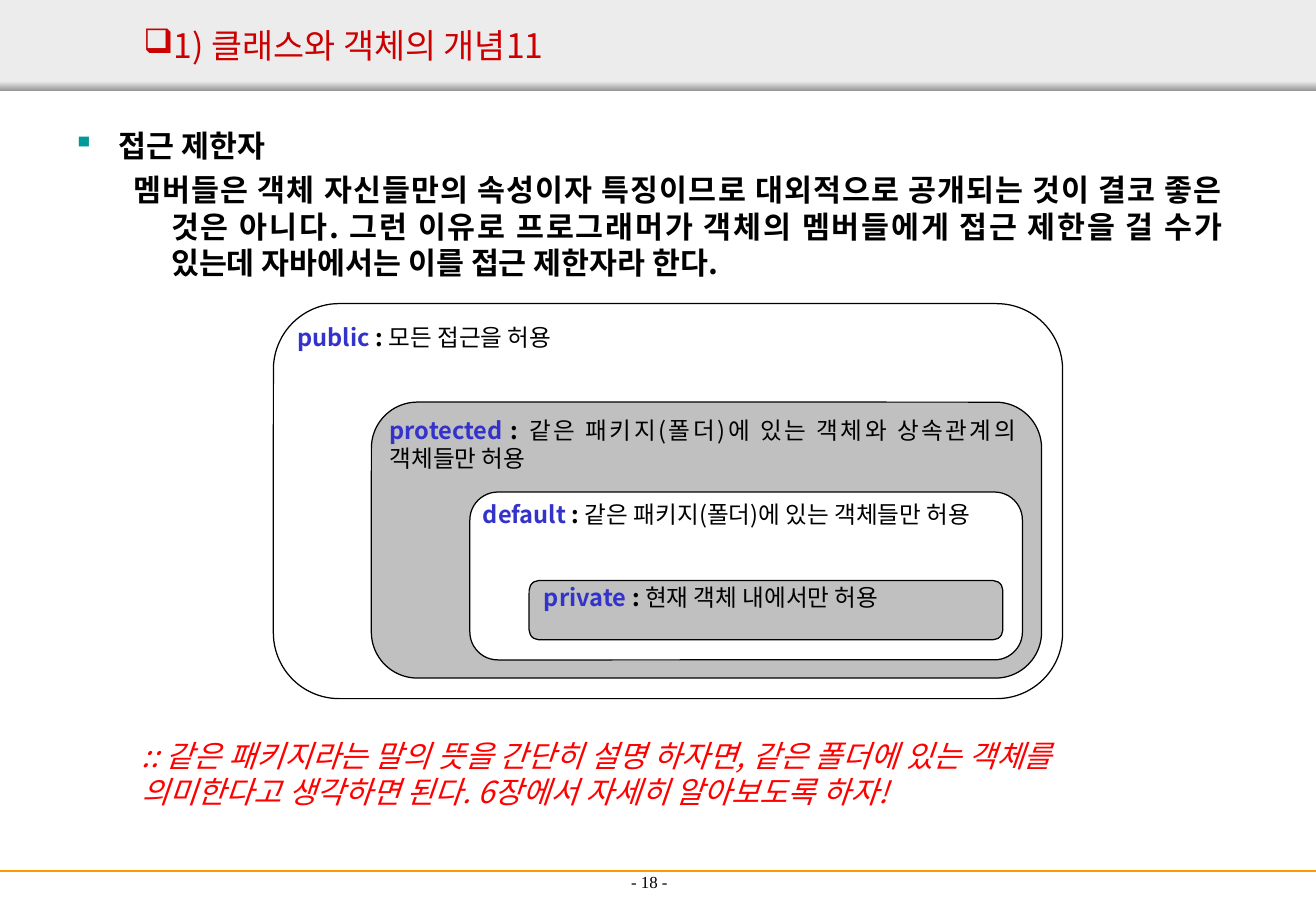
from dataclasses import dataclass

from lxml.etree import SubElement
from pptx import Presentation
from pptx.dml.color import RGBColor
from pptx.enum.shapes import MSO_CONNECTOR, MSO_SHAPE
from pptx.enum.text import MSO_ANCHOR, PP_ALIGN
from pptx.oxml.ns import qn
from pptx.shapes.autoshape import Shape
from pptx.slide import Slide
from pptx.text.text import TextFrame, _Paragraph
from pptx.util import Cm, Pt

BLACK = RGBColor(0x00, 0x00, 0x00)
WHITE = RGBColor(0xFF, 0xFF, 0xFF)
SILVER = RGBColor(0xC0, 0xC0, 0xC0)
HEADER_GRAY = RGBColor(0xEC, 0xEC, 0xEC)
EDGE_GRAY = RGBColor(0x97, 0x97, 0x97)
ORANGE = RGBColor(0xFF, 0x99, 0x00)
TITLE_RED = RGBColor(0xCC, 0x00, 0x00)
NOTE_RED = RGBColor(0xFF, 0x00, 0x00)
TEAL = RGBColor(0x00, 0x99, 0x99)
KEYWORD_BLUE = RGBColor(0x33, 0x33, 0xCC)

KOREAN_FONT = "Noto Sans CJK KR"
LATIN_FONT = "Times New Roman"
SLIDE_WIDTH = 27.53


@dataclass(frozen=True)
class Box:
    left: float
    top: float
    width: float
    height: float

    def lengths(self) -> tuple[Cm, Cm, Cm, Cm]:
        return Cm(self.left), Cm(self.top), Cm(self.width), Cm(self.height)


@dataclass(frozen=True)
class AccessLevel:
    keyword: str
    meaning: str
    box: Box
    fill: RGBColor
    inset: float = 0.1


ACCESS_LEVELS = [
    AccessLevel("public", "모든 접근을 허용", Box(5.72, 6.35, 16.51, 8.26), WHITE),
    AccessLevel("protected", "같은 패키지(폴더)에 있는 객체와 상속관계의 객체들만 허용",
                Box(7.77, 8.41, 14.02, 5.77), SILVER),
    AccessLevel("default", "같은 패키지(폴더)에 있는 객체들만 허용",
                Box(9.83, 10.29, 11.56, 3.51), WHITE),
    AccessLevel("private", "현재 객체 내에서만 허용", Box(11.07, 12.14, 9.91, 1.24), SILVER, 0.25),
]


def style_paragraph(paragraph: _Paragraph, size: float, color: RGBColor = BLACK,
                    name: str = KOREAN_FONT, bold: bool = False, italic: bool = False) -> None:
    font = paragraph.font
    font.size, font.name, font.bold, font.italic = Pt(size), name, bold, italic
    font.color.rgb = color
    properties = paragraph._p.get_or_add_pPr().get_or_add_defRPr()
    SubElement(properties, qn("a:ea")).set("typeface", name)


def indent(paragraph: _Paragraph, margin: float, first_line: float) -> None:
    properties = paragraph._p.get_or_add_pPr()
    properties.set("marL", str(Cm(margin)))
    properties.set("indent", str(Cm(first_line)))


def add_bullet(paragraph: _Paragraph, symbol: str, color: RGBColor) -> None:
    properties = paragraph._p.get_or_add_pPr()
    bullet_color = SubElement(properties, qn("a:buClr"))
    SubElement(bullet_color, qn("a:srgbClr")).set("val", str(color))
    SubElement(properties, qn("a:buChar")).set("char", symbol)


def add_text(slide: Slide, box: Box, text: str) -> TextFrame:
    frame = slide.shapes.add_textbox(*box.lengths()).text_frame
    frame.word_wrap = True
    frame.paragraphs[0].text = text
    return frame


def add_block(slide: Slide, kind: MSO_SHAPE, box: Box) -> Shape:
    block = slide.shapes.add_shape(kind, *box.lengths())
    block.shadow.inherit = False
    block.line.fill.background()
    return block


def draw_frame(slide: Slide) -> None:
    header = add_block(slide, MSO_SHAPE.RECTANGLE, Box(0, 0, SLIDE_WIDTH, 1.9))
    header.fill.solid()
    header.fill.fore_color.rgb = HEADER_GRAY

    edge = add_block(slide, MSO_SHAPE.RECTANGLE, Box(0, 1.7, SLIDE_WIDTH, 0.2))
    edge.fill.gradient()
    edge.fill.gradient_angle = 270
    for stop, color in zip(edge.fill.gradient_stops, (HEADER_GRAY, EDGE_GRAY)):
        stop.color.rgb = color

    footer_rule = slide.shapes.add_connector(
        MSO_CONNECTOR.STRAIGHT, Cm(0), Cm(18.21), Cm(SLIDE_WIDTH), Cm(18.21))
    footer_rule.line.color.rgb = ORANGE
    footer_rule.line.width = Pt(1.5)
    SubElement(footer_rule._element.spPr, qn("a:effectLst"))

    page_number = add_text(slide, Box(9.37, 17.5, 8.43, 1.27), "- 18 -")
    page_number.vertical_anchor = MSO_ANCHOR.BOTTOM
    page_number.paragraphs[0].alignment = PP_ALIGN.CENTER
    style_paragraph(page_number.paragraphs[0], 10, name=LATIN_FONT)


def draw_title(slide: Slide) -> None:
    title = add_text(slide, Box(1.37, 0.36, 24.77, 1.17), "1) 클래스와 객체의 개념11")
    title.vertical_anchor = MSO_ANCHOR.MIDDLE
    title.margin_left = title.margin_right = title.margin_top = title.margin_bottom = 0
    heading = title.paragraphs[0]
    indent(heading, 2.24, -0.61)
    add_bullet(heading, "❑", TITLE_RED)
    style_paragraph(heading, 20, TITLE_RED)


def draw_explanation(slide: Slide) -> None:
    explanation = add_text(slide, Box(1.27, 2.54, 24.56, 4.01), "접근 제한자")
    topic = explanation.paragraphs[0]
    indent(topic, 0.97, -0.97)
    add_bullet(topic, "▪", TEAL)
    detail = explanation.add_paragraph()
    detail.text = ("멤버들은 객체 자신들만의 속성이자 특징이므로 대외적으로 공개되는 것이 결코 좋은 "
                   "것은 아니다. 그런 이유로 프로그래머가 객체의 멤버들에게 접근 제한을 걸 수가 "
                   "있는데 자바에서는 이를 접근 제한자라 한다.")
    detail.level = 1
    indent(detail, 2.06, -0.79)
    for paragraph in explanation.paragraphs:
        paragraph.alignment = PP_ALIGN.JUSTIFY
        paragraph.space_before = Pt(4.5)
        style_paragraph(paragraph, 18, bold=True)


def draw_access_level(slide: Slide, level: AccessLevel) -> None:
    area = add_block(slide, MSO_SHAPE.ROUNDED_RECTANGLE, level.box)
    area.fill.solid()
    area.fill.fore_color.rgb = level.fill
    area.line.color.rgb = BLACK
    area.line.width = Pt(0.75)
    frame = area.text_frame
    frame.word_wrap = True
    frame.vertical_anchor = MSO_ANCHOR.TOP
    frame.margin_left, frame.margin_top = Cm(level.inset), 0
    definition = frame.paragraphs[0]
    definition.alignment = PP_ALIGN.JUSTIFY
    style_paragraph(definition, 14)
    for text, color, bold in ((level.keyword, KEYWORD_BLUE, True),
                              (" : ", BLACK, True), (level.meaning, BLACK, False)):
        run = definition.add_run()
        run.text = text
        run.font.color.rgb = color
        run.font.bold = bold


def draw_note(slide: Slide) -> None:
    note = add_text(slide, Box(2.72, 15.29, 22.05, 1.78),
                    ":: 같은 패키지라는 말의 뜻을 간단히 설명 하자면, 같은 폴더에 있는 객체를 "
                    "의미한다고 생각하면 된다. 6장에서 자세히 알아보도록 하자!")
    style_paragraph(note.paragraphs[0], 18, NOTE_RED, italic=True)


def main() -> None:
    presentation = Presentation()
    presentation.slide_width, presentation.slide_height = Cm(SLIDE_WIDTH), Cm(19.05)
    slide = presentation.slides.add_slide(presentation.slide_layouts[6])
    draw_frame(slide)
    draw_title(slide)
    draw_explanation(slide)
    for level in ACCESS_LEVELS:
        draw_access_level(slide, level)
    draw_note(slide)
    presentation.save("out.pptx")


if __name__ == "__main__":
    main()
